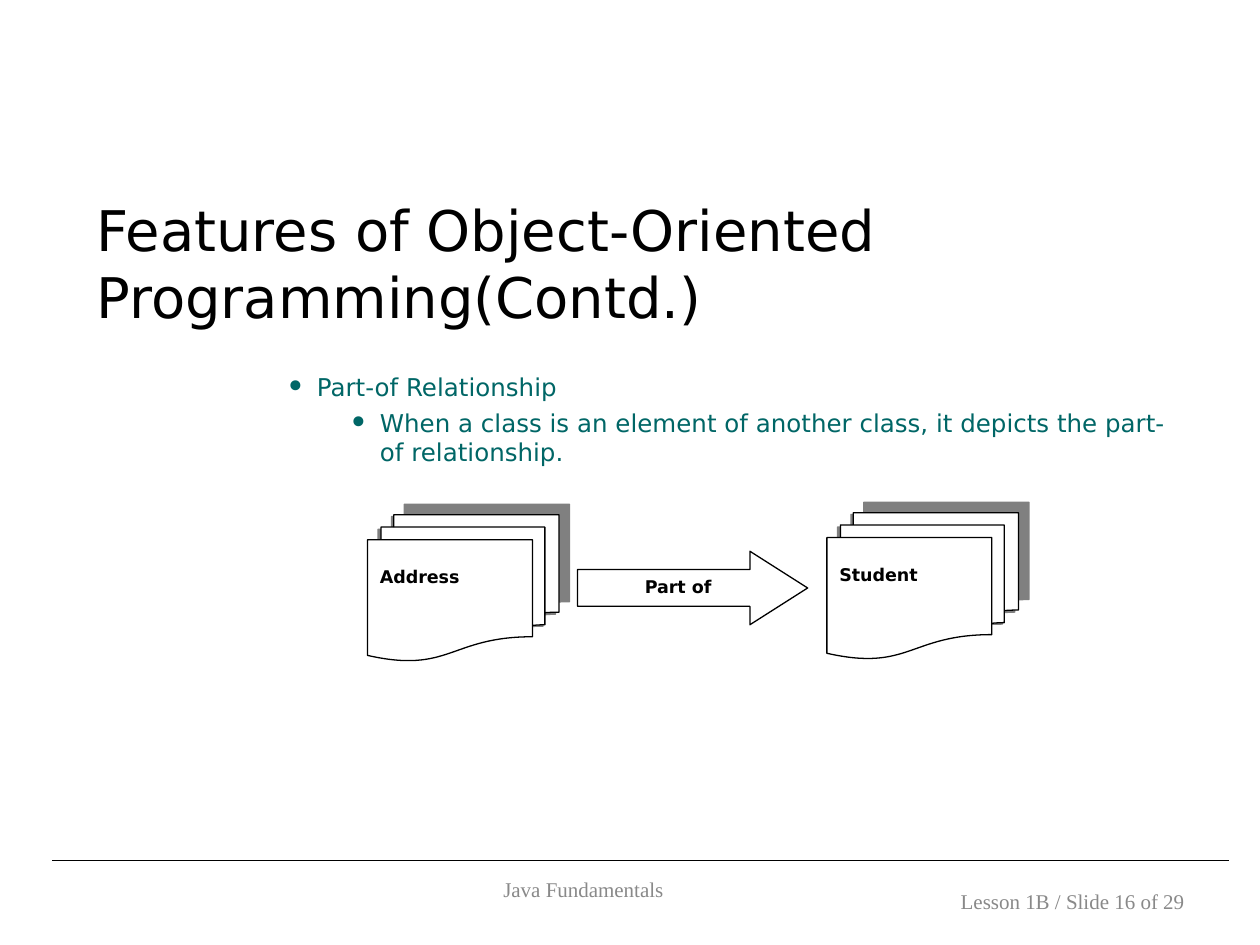
from lxml import etree
from pptx import Presentation
from pptx import util as u
from pptx.dml.color import RGBColor
from pptx.enum import shapes, text
from pptx.oxml import ns

Pt = u.Pt
COLORS = {"ink": "000000", "paper": "FFFFFF", "teal": "006666",
          "footer": "898989", "shadow": "808080"}
SANS, SERIF = "DejaVu Sans", "Times New Roman"
LEFT, CENTER, RIGHT = (text.PP_ALIGN.LEFT, text.PP_ALIGN.CENTER, text.PP_ALIGN.RIGHT)


def color(name):
    return RGBColor.from_string(COLORS[name])


def add_element(parent, tag, **attributes):
    element = etree.SubElement(parent, ns.qn(tag))
    for key, value in attributes.items():
        element.set(key, str(value))
    return element


def set_frame(frame, anchor=text.MSO_ANCHOR.TOP, top=3.6, right=7.2, bottom=3.6):
    frame.word_wrap = True
    frame.vertical_anchor = anchor
    frame.margin_left, frame.margin_right = Pt(7.2), Pt(right)
    frame.margin_top, frame.margin_bottom = Pt(top), Pt(bottom)


def write(paragraph, wording, size, ink, font=SANS, align=LEFT, bold=False):
    paragraph.text = wording
    paragraph.alignment = align
    for run in paragraph.runs:
        run.font.name, run.font.size, run.font.bold = font, Pt(size), bold
        run.font.color.rgb = color(ink)


def add_bullet(paragraph, left):
    properties = paragraph._p.get_or_add_pPr()
    properties.set("marL", str(Pt(left)))
    properties.set("indent", str(Pt(-18)))
    add_element(add_element(properties, "a:buClr"), "a:srgbClr", val=COLORS["teal"])
    add_element(properties, "a:buSzPct", val=140000)
    add_element(properties, "a:buFont", typeface=SANS)
    add_element(properties, "a:buChar", char="•")


def add_body(slide, left, top, width, height):
    """Title followed by the bullets, all in one text box."""
    frame = slide.shapes.add_textbox(Pt(left), Pt(top), Pt(width), Pt(height)).text_frame
    set_frame(frame)
    title = frame.paragraphs[0]
    title.line_spacing = Pt(38.5)
    write(title, "Features of Object-Oriented Programming(Contd.)", 32, "ink")
    bullets = [
        (3, 126, 24, "Part-of Relationship"),
        (4, 162, 3.5, "When a class is an element of another class, "
                      "it depicts the part-of relationship."),
    ]
    for level, indent, space, wording in bullets:
        paragraph = frame.add_paragraph()
        paragraph.level = level
        paragraph.line_spacing = Pt(16.9)
        paragraph.space_before = Pt(space)
        add_bullet(paragraph, indent)
        write(paragraph, wording, 14, "teal")


def add_outlined(slide, kind, left, top, width, height, label, align, inset):
    shape = slide.shapes.add_shape(kind, Pt(left), Pt(top), Pt(width), Pt(height))
    shape.shadow.inherit = False
    shape.fill.solid()
    shape.fill.fore_color.rgb = color("paper")
    shape.line.color.rgb = color("ink")
    shape.line.width = Pt(0.75)
    set_frame(shape.text_frame, top=inset)
    write(shape.text_frame.paragraphs[0], label, 10, "ink", align=align, bold=True)
    return shape


def add_class_stack(slide, left, top, label):
    stack = add_outlined(slide, shapes.MSO_SHAPE.FLOWCHART_MULTIDOCUMENT,
                         left, top, 109.5, 83.5, label, LEFT, 15.2)
    effects = stack._element.spPr.find(ns.qn("a:effectLst"))
    shadow = add_element(effects, "a:outerShdw", blurRad=0, dist=Pt(8.5),
                         dir=315 * 60000, algn="ctr", rotWithShape=0)
    add_element(shadow, "a:srgbClr", val=COLORS["shadow"])


def add_diagram(slide, left, top):
    add_class_stack(slide, left, top + 1.2, "Address")
    add_class_stack(slide, left + 262.5, top, "Student")
    arrow = add_outlined(slide, shapes.MSO_SHAPE.RIGHT_ARROW, left + 120, top + 22,
                         131.5, 42, "Part of", CENTER, 3.6)
    arrow.adjustments[0], arrow.adjustments[1] = 0.5, 0.785


def add_footer_text(slide, left, top, width, wording, align, **insets):
    frame = slide.shapes.add_textbox(Pt(left), Pt(top), Pt(width), Pt(28.8)).text_frame
    set_frame(frame, text.MSO_ANCHOR.MIDDLE, **insets)
    write(frame.paragraphs[0], wording, 12, "footer", SERIF, align)


def add_footer(slide, left, top, width):
    rule = slide.shapes.add_connector(shapes.MSO_CONNECTOR.STRAIGHT,
                                      Pt(left), Pt(top), Pt(left + width), Pt(top))
    rule.line.color.rgb = color("ink")
    rule.line.width = Pt(0.75)
    add_element(rule._element.spPr, "a:effectLst")
    add_footer_text(slide, left + 216, top + 8.6, 228, "Java Fundamentals", CENTER,
                    right=60.2, bottom=17.4)
    add_footer_text(slide, left + 486, top + 8.6, 168, "Lesson 1B / Slide 16 of 29", RIGHT)


def main():
    presentation = Presentation()
    presentation.slide_width, presentation.slide_height = Pt(720), Pt(540)
    slide = presentation.slides.add_slide(presentation.slide_layouts[6])
    add_body(slide, 48, 108, 636, 354)
    add_diagram(slide, 210, 293)
    add_footer(slide, 30, 491.8, 672)
    presentation.save("out.pptx")


if __name__ == "__main__":
    main()
